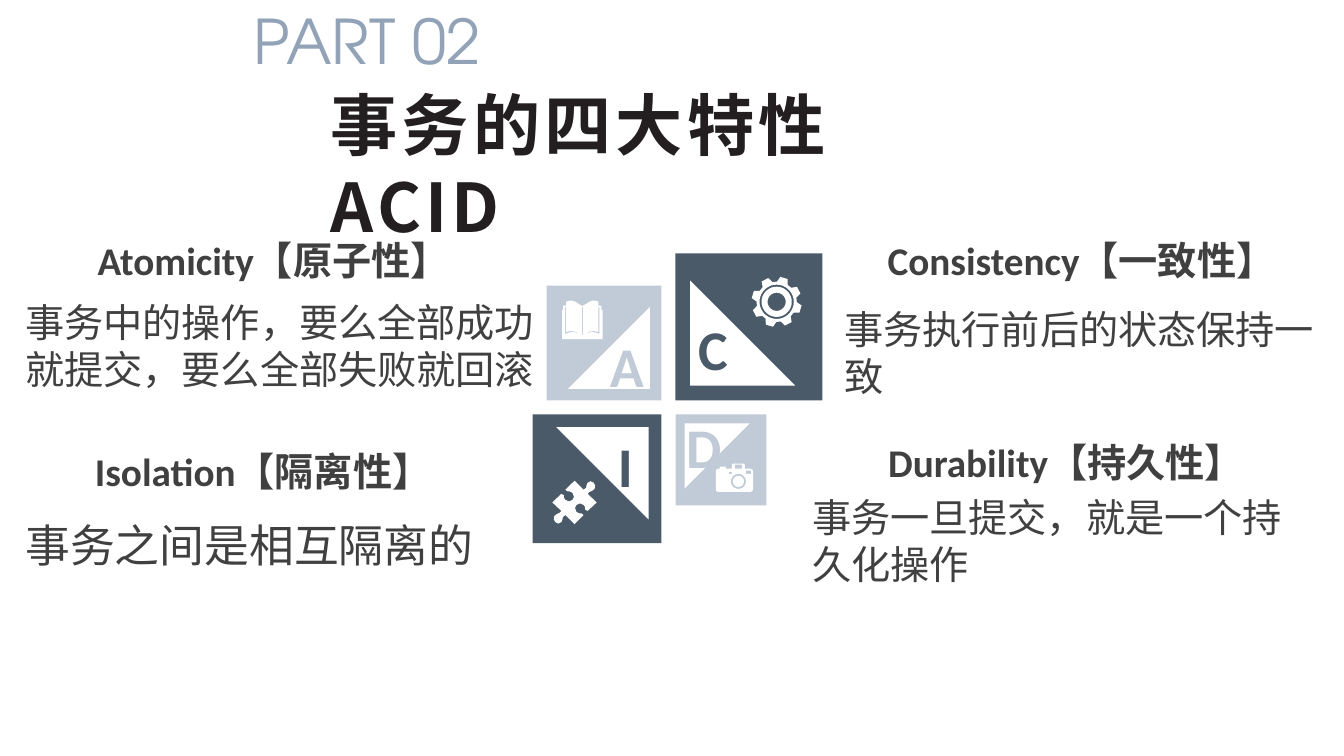
from dataclasses import dataclass
from math import cos, radians, sin

from lxml.etree import SubElement
from pptx import Presentation
from pptx.dml.color import RGBColor
from pptx.enum.shapes import MSO_SHAPE as Preset
from pptx.enum.text import MSO_ANCHOR as Anchor, MSO_AUTO_SIZE as AutoSize, PP_ALIGN as Align
from pptx.oxml.ns import qn
from pptx.util import Pt


@dataclass(frozen=True)
class Theme:
    dark: str = "4A5A69"
    light: str = "C1CBD7"
    white: str = "FFFFFF"
    ink: str = "231E1F"
    body: str = "404040"
    section: str = "92A3B8"
    text_font: str = "Calibri"
    title_font: str = "Noto Sans CJK SC"
    section_font: str = "TeX Gyre Adventor"
    title_size: int = 48
    section_size: int = 44
    letter_size: int = 40
    large_size: int = 32
    text_size: int = 28


class SlideBuilder:
    """Holds the theme and the current slide."""

    def __init__(self, page, theme):
        self.page, self.theme = page, theme

    def style(self, frame, text, size, color, font=None, bold=False, align=Align.LEFT):
        frame.text = text
        frame.word_wrap = True
        frame.auto_size = AutoSize.NONE
        frame.vertical_anchor = Anchor.TOP
        para = frame.paragraphs[0]
        para.alignment = align
        span = para.runs[0]
        span.font.name = font or self.theme.text_font
        span.font.size = Pt(size)
        span.font.bold = bold
        span.font.color.rgb = RGBColor.from_string(color)
        return para, span

    def title(self, text, left, top, width, height):
        theme, box = self.theme, self.page.shapes.title
        box.left, box.top, box.width, box.height = map(Pt, (left, top, width, height))
        para, span = self.style(box.text_frame, text, theme.title_size, theme.ink,
                                theme.title_font, bold=True)
        para.line_spacing = Pt(58.5)
        # East Asian typeface and letter spacing of 3 pt
        properties = span.font._element
        properties.set("spc", "300")
        SubElement(properties, qn("a:ea")).set("typeface", theme.title_font)

    def text(self, text, left, top, width, height, size, color, **options):
        box = self.page.shapes.add_textbox(*map(Pt, (left, top, width, height)))
        self.style(box.text_frame, text, size, color, **options)

    def fill(self, shape, color):
        shape.shadow.inherit = False
        shape.fill.solid()
        shape.fill.fore_color.rgb = RGBColor.from_string(color)
        shape.line.fill.background()

    def preset(self, kind, left, top, size, color, rotation=0):
        shape = self.page.shapes.add_shape(kind, *map(Pt, (left, top, size, size)))
        shape.rotation = rotation
        self.fill(shape, color)

    def icon(self, contours, center_x, center_y, unit=0.72):
        """Draw closed contours given in icon units around a centre."""
        placed = [[(Pt(center_x + x * unit), Pt(center_y + y * unit)) for x, y in contour]
                  for contour in contours]
        builder = self.page.shapes.build_freeform(*placed[0][0], scale=1.0)
        builder.add_line_segments(placed[0][1:], close=True)
        for contour in placed[1:]:
            builder.move_to(*contour[0])
            builder.add_line_segments(contour[1:], close=True)
        self.fill(builder.convert_to_shape(), self.theme.white)


# Icon outlines
def polar(radius, angle):
    return radius * sin(radians(angle)), -radius * cos(radians(angle))


def circle(radius, x=0, y=0):
    points = (polar(radius, angle) for angle in range(0, 360, 10))
    return [(x + dx, y + dy) for dx, dy in points]


def rectangle(left, top, right, bottom):
    return [(left, top), (right, top), (right, bottom), (left, bottom)]


def mirrored(points):
    return [(-x, y) for x, y in reversed(points)]


def gear():
    tooth = [(20, -16), (25, -8.5), (25, 8.5), (20, 16)]
    outline = [polar(radius, 17 + 45 * step + turn) for step in range(8) for radius, turn in tooth]
    return [outline, circle(17), circle(15), circle(9)]


def book():
    half = [(-20, 19), (-20, -10), (-19, -10), (-19, -14), (-16, -14), (-16, -18),
            (-13, -19), (-10, -19), (-7, -18), (-4, -16), (-0.5, -14)]
    page_edge = [(-17, -13), (-17, 14), (-13, 12.5), (-9, 12), (-5, 13), (-0.5, 15),
                 (-6, 12), (-11, 11), (-16, 12), (-16, -13)]
    return [half + mirrored(half), page_edge, mirrored(page_edge),
            rectangle(-0.5, -13, 0.5, 15)]


def puzzle():
    half = [(0, -21.5), (9, -12.5), (11.5, -14.5), (12, -17), (13, -19.5), (16, -21),
            (19, -19.5), (20.5, -17), (20, -13.5), (17.5, -11.5), (15, -10.5), (13, -8.5),
            (22, 0), (13, 8.5), (10.5, 7), (10.5, 4.5), (9, 2.5), (5.5, 1), (2, 2.5),
            (0.5, 5.5), (2, 9.5), (5, 11), (7, 11), (9, 12.5)]
    return [half + [(-x, -y) for x, y in half]]


def camera():
    body = [(-16, -9), (-14.5, -9), (-14.5, -11), (-8.5, -11), (-8.5, -9), (-2.5, -9),
            (-2.5, -13), (-1.5, -14), (9.5, -14), (10.5, -13), (10.5, -9), (16, -9),
            (18, -8), (18.5, -6), (18.5, 11), (18, 13), (16, 14), (-16, 14), (-18, 13),
            (-18.5, 11), (-18.5, -6), (-18, -8)]
    lens = [circle(radius, 4, 3.5) for radius in (7.5, 5.5)]
    return [body, rectangle(0.5, -13, 7.5, -9), rectangle(-5.5, -6, -2.5, -4),
            rectangle(11.5, -7, 16.5, -4), *lens]


theme = Theme()
deck = Presentation()
deck.slide_width, deck.slide_height = Pt(960), Pt(540)
builder = SlideBuilder(deck.slides.add_slide(deck.slide_layouts[5]), theme)

# Headings
builder.title("事务的四大特性ACID", 229, 55, 432, 130)
builder.text("PART 02", 174, -1.5, 195, 82, theme.section_size, theme.section,
             font=theme.section_font)

# Four tiles around a common centre: side x, side y, size, colour, triangle rotation,
# letter with its position, icon with its centre
CENTER_X, CENTER_Y, GAP = 477.5, 291, 10
tiles = [
    (-1, -1, 82, theme.light, 270, "A", 428.5, 233.5, book(), 416, 228.5),
    (1, -1, 105, theme.dark, 0, "C", 491, 221, gear(), 554.8, 215.6),
    (1, 1, 65, theme.light, 90, "D", 483, 291, camera(), 524.6, 341.3),
    (-1, 1, 92, theme.dark, 180, "I", 428.5, 304.5, puzzle(), 410.4, 358.9),
]


def near_center(center, side, offset, size):
    """Start of a span lying on one side of the centre, at the given offset."""
    return center + offset if side > 0 else center - offset - size


for side_x, side_y, size, color, turn, letter, left, top, icon, icon_x, icon_y in tiles:
    layers = [(Preset.RECTANGLE, GAP / 2, size, color, 0),
              (Preset.RIGHT_TRIANGLE, GAP / 2 + 0.1 * size, 0.715 * size, theme.white, turn)]
    for kind, offset, length, paint, rotation in layers:
        builder.preset(kind, near_center(CENTER_X, side_x, offset, length),
                       near_center(CENTER_Y, side_y, offset, length), length, paint, rotation)
    builder.text(letter, left, top, 36.5, 55.5, theme.letter_size, color,
                 bold=True, align=Align.CENTER)
    builder.icon(icon, icon_x, icon_y)

# Properties: heading and its box, then description and its box
properties = [
    ("Atomicity【原子性】", (0, 165, 391, 39),
     "事务中的操作，要么全部成功就提交，要么全部失败就回滚", (11, 209.5, 380, 76), theme.text_size),
    ("Consistency【一致性】", (596, 165, 353, 52),
     "事务执行前后的状态保持一致", (596, 214.5, 353, 75), theme.text_size),
    ("Isolation【隔离性】", (6.5, 316, 363, 41),
     "事务之间是相互隔离的", (11, 366, 363, 46), theme.large_size),
    ("Durability【持久性】", (573, 309.5, 377, 41),
     "事务一旦提交，就是一个持久化操作", (573, 348.5, 377, 75), theme.text_size),
]
for heading, heading_box, description, description_box, size in properties:
    builder.text(heading, *heading_box, theme.text_size, theme.body,
                 bold=True, align=Align.CENTER)
    builder.text(description, *description_box, size, theme.body)

deck.save("out.pptx")
